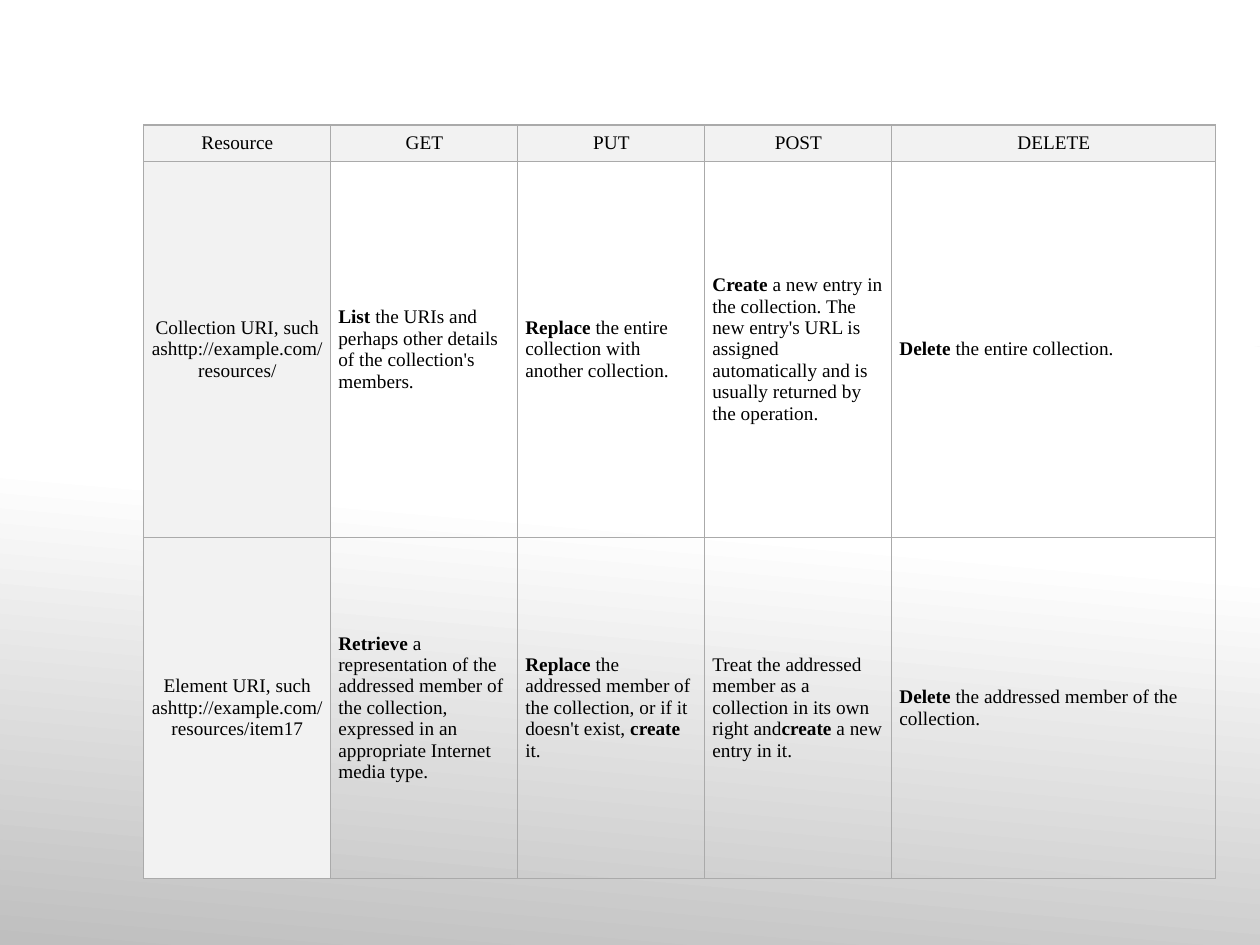
from lxml import etree
from pptx import Presentation
from pptx.dml.color import RGBColor
from pptx.enum import shapes, text
from pptx.oxml import ns
from pptx.util import Cm, Pt

# Double asterisks enclose bold words.
METHODS = ["Resource", "GET", "PUT", "POST", "DELETE"]
COLLECTION = [
    "Collection URI, such ashttp://example.com/resources/",
    "**List** the URIs and perhaps other details of the collection's members.",
    "**Replace** the entire collection with another collection.",
    "**Create** a new entry in the collection. The new entry's URL is assigned "
    "automatically and is usually returned by the operation.",
    "**Delete** the entire collection.",
]
ELEMENT = [
    "Element URI, such ashttp://example.com/resources/item17",
    "**Retrieve** a representation of the addressed member of the collection, "
    "expressed in an appropriate Internet media type.",
    "**Replace** the addressed member of the collection, or if it doesn't exist, "
    "**create **it.",
    "Treat the addressed member as a collection in its own right and**create** "
    "a new entry in it.",
    "**Delete** the addressed member of the collection.",
]
ROWS = [METHODS, COLLECTION, ELEMENT]

COLUMN_WIDTHS = [Cm(3.77)] * 4 + [Cm(6.53)]
ROW_HEIGHTS = [Cm(0.74), Cm(7.57), Cm(6.88)]
HEADING_FILL = "F2F2F2"
BORDER = "AAAAAA"


def color(value):
    return RGBColor.from_string(value)


def write(frame, marked, font="Times New Roman", size=11, ink="000000", align=None):
    """Write text into a frame, with the parts between ** in bold."""
    paragraph = frame.paragraphs[0]
    paragraph.alignment = align
    for index, part in enumerate(marked.split("**")):
        if part:
            run = paragraph.add_run()
            run.text = part
            run.font.name = font
            run.font.size = Pt(size)
            run.font.bold = index % 2 == 1
            run.font.color.rgb = color(ink)


def add_borders(cell):
    properties = cell._tc.get_or_add_tcPr()
    for position, side in enumerate(["lnL", "lnR", "lnT", "lnB"]):
        line = etree.Element(ns.qn(f"a:{side}"), w=str(Pt(0.75)))
        fill = etree.SubElement(line, ns.qn("a:solidFill"))
        etree.SubElement(fill, ns.qn("a:srgbClr"), val=BORDER)
        properties.insert(position, line)


def add_backdrop(slide, top, width, height):
    backdrop = slide.shapes.add_shape(
        shapes.MSO_SHAPE.RECTANGLE, 0, top, width, height)
    backdrop.shadow.inherit = False
    backdrop.line.fill.background()
    backdrop.fill.gradient()
    backdrop.fill.gradient_angle = 85
    stops = [(0, "BFBFBF"), (0.68, "FFFFFF")]
    for stop, (position, shade) in zip(backdrop.fill.gradient_stops, stops):
        stop.position = position
        stop.color.rgb = color(shade)


def add_methods_table(slide):
    table = slide.shapes.add_table(
        len(ROWS), len(METHODS), Cm(2.9), Cm(2.52),
        sum(COLUMN_WIDTHS), sum(ROW_HEIGHTS)).table
    table.first_row = table.horz_banding = False
    for column, width in zip(table.columns, COLUMN_WIDTHS):
        column.width = width
    for row, height in zip(table.rows, ROW_HEIGHTS):
        row.height = height

    for r, entries in enumerate(ROWS):
        for c, entry in enumerate(entries):
            cell = table.cell(r, c)
            is_heading = r == 0 or c == 0
            cell.vertical_anchor = text.MSO_ANCHOR.MIDDLE
            cell.margin_left = cell.margin_right = Cm(0.15)
            cell.margin_top = cell.margin_bottom = Cm(0.08)
            if is_heading:
                cell.fill.solid()
                cell.fill.fore_color.rgb = color(HEADING_FILL)
            else:
                cell.fill.background()
            add_borders(cell)
            write(cell.text_frame, entry,
                  align=text.PP_ALIGN.CENTER if is_heading else text.PP_ALIGN.LEFT)


def main():
    deck = Presentation()
    deck.slide_width, deck.slide_height = Cm(25.4), Cm(19.05)
    slide = deck.slides.add_slide(deck.slide_layouts[6])
    backdrop_top = Cm(6.99)
    add_backdrop(slide, backdrop_top, deck.slide_width,
                 deck.slide_height - backdrop_top)
    add_methods_table(slide)
    deck.save("out.pptx")


if __name__ == "__main__":
    main()
